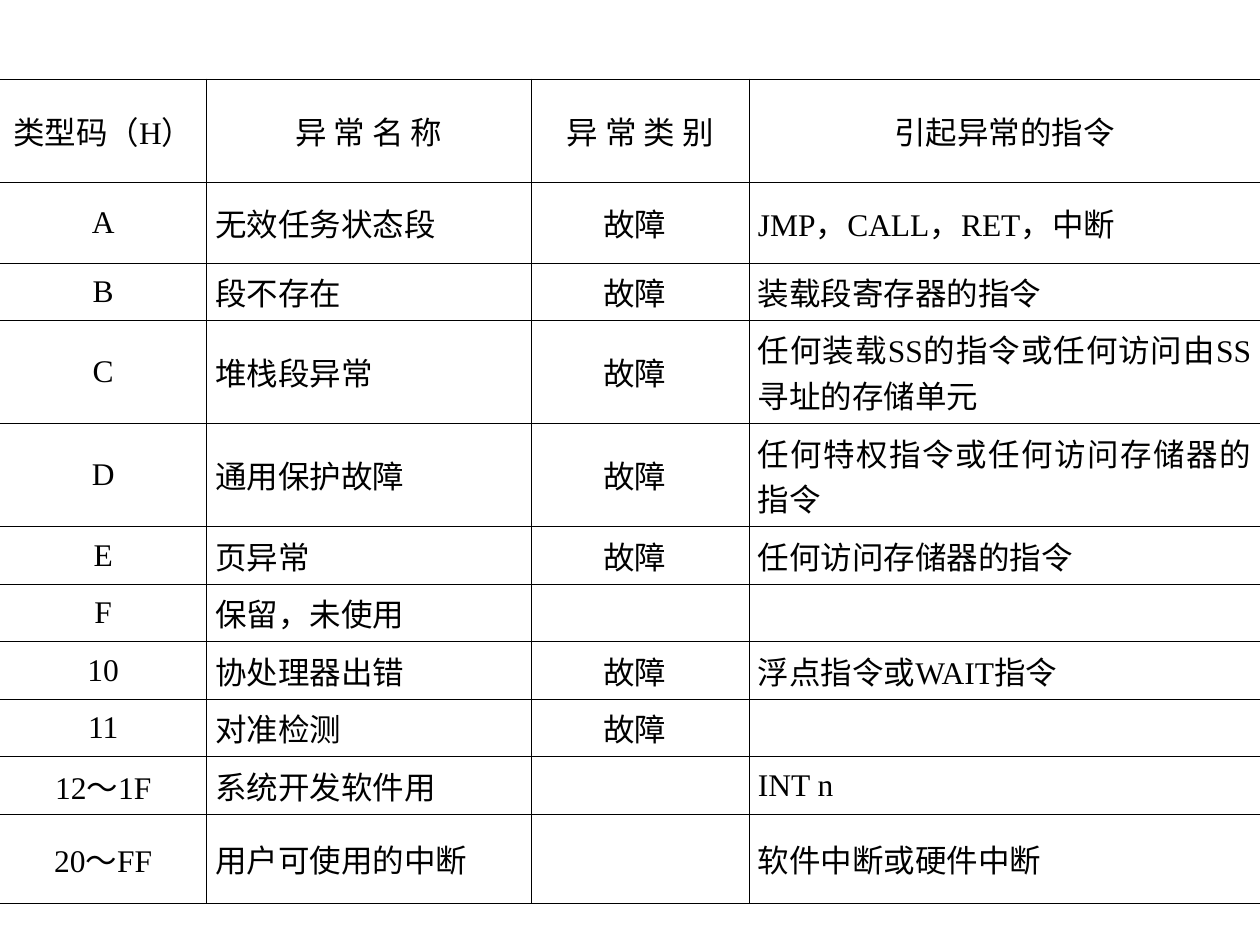
from dataclasses import dataclass

from lxml.etree import SubElement
from pptx import Presentation
from pptx.dml.color import RGBColor as RGB
from pptx.enum.text import MSO_ANCHOR as Anchor, PP_ALIGN as Align
from pptx.oxml.ns import qn
from pptx.util import Cm, Pt


@dataclass(frozen=True)
class Theme:
    ink: str = "000000"
    font: str = "Times New Roman"
    size: float = 18
    rule: float = 0.45
    gap: float = 1.2


COLS = [4.16, 6.55, 4.39, 10.3]
ROWS = [1.52, 1.63, 0.91, 1.8, 1.52, 0.91, 0.91, 0.91, 0.91, 0.91, 1.8]
HEAD = ("类型码（H）", "异 常 名 称", "异 常 类 别", "引起异常的指令")
FAULT = "故障"
EXCEPTIONS = [
    ("A", "无效任务状态段", FAULT, "JMP，CALL，RET，中断"),
    ("B", "段不存在", FAULT, "装载段寄存器的指令"),
    ("C", "堆栈段异常", FAULT, "任何装载SS的指令或任何访问由SS寻址的存储单元"),
    ("D", "通用保护故障", FAULT, "任何特权指令或任何访问存储器的指令"),
    ("E", "页异常", FAULT, "任何访问存储器的指令"),
    ("F", "保留，未使用", "", ""),
    ("10", "协处理器出错", FAULT, "浮点指令或WAIT指令"),
    ("11", "对准检测", FAULT, ""),
    ("12～1F", "系统开发软件用", "", "INT n"),
    ("20～FF", "用户可使用的中断", "", "软件中断或硬件中断"),
]
CELL = {
    "vertical_anchor": Anchor.MIDDLE,
    "margin_left": Cm(0.18),
    "margin_right": Cm(0.18),
    "margin_top": Cm(0.12),
    "margin_bottom": Cm(0.12),
}


def apply(obj, fmt):
    for name, value in fmt.items():
        setattr(obj, name, value)


class Deck:
    def __init__(self, theme):
        self.theme = theme
        self.prs = Presentation()
        apply(self.prs, {"slide_width": Cm(25.4), "slide_height": Cm(19.05)})
        self.s = self.prs.slides.add_slide(self.prs.slide_layouts[6])

    def table(self, left, top, cols, rows, data):
        sp = self.s.shapes.add_table(
            len(rows), len(cols), Cm(left), Cm(top), Cm(sum(cols)), Cm(sum(rows)))
        tbl = sp.table
        apply(tbl, {"first_row": False, "horz_banding": False})
        for col, width in zip(tbl.columns, cols):
            col.width = Cm(width)
        for row, height in zip(tbl.rows, rows):
            row.height = Cm(height)
        for i, texts in enumerate(data):
            for j, text in enumerate(texts):
                open_sides = {0: "L", len(cols) - 1: "R"}.get(j, "")
                self.cell(tbl.cell(i, j), text, open_sides)
                centred = i == 0 or j == 0
                self.paragraph(tbl.cell(i, j), centred, indented=j == 2 and not centred)

    def cell(self, cell, text, open_sides):
        apply(cell, CELL)
        cell.text = text
        self.borders(cell, open_sides)
        cell.fill.background()

    def borders(self, cell, open_sides):
        pr = cell._tc.get_or_add_tcPr()
        for side in "LRTB":
            ln = SubElement(pr, qn(f"a:ln{side}"), w=str(Pt(self.theme.rule)))
            if side in open_sides:
                SubElement(ln, qn("a:noFill"))
            else:
                fill = SubElement(ln, qn("a:solidFill"))
                SubElement(fill, qn("a:srgbClr"), val=self.theme.ink)

    def paragraph(self, cell, centred, indented):
        p = cell.text_frame.paragraphs[0]
        apply(p, {"alignment": Align.CENTER if centred else Align.JUSTIFY,
                  "space_after": Pt(self.theme.gap)})
        if indented:
            pr = p._p.get_or_add_pPr()
            pr.set("marL", str(Cm(0.56)))
            pr.set("indent", str(Cm(0.71)))
        for r in p.runs:
            apply(r.font, {"name": self.theme.font, "size": Pt(self.theme.size)})
            r.font.color.rgb = RGB.from_string(self.theme.ink)


def main():
    deck = Deck(Theme())
    deck.table(0, 1.59, COLS, ROWS, [HEAD, *EXCEPTIONS])
    deck.prs.save("out.pptx")


if __name__ == "__main__":
    main()
